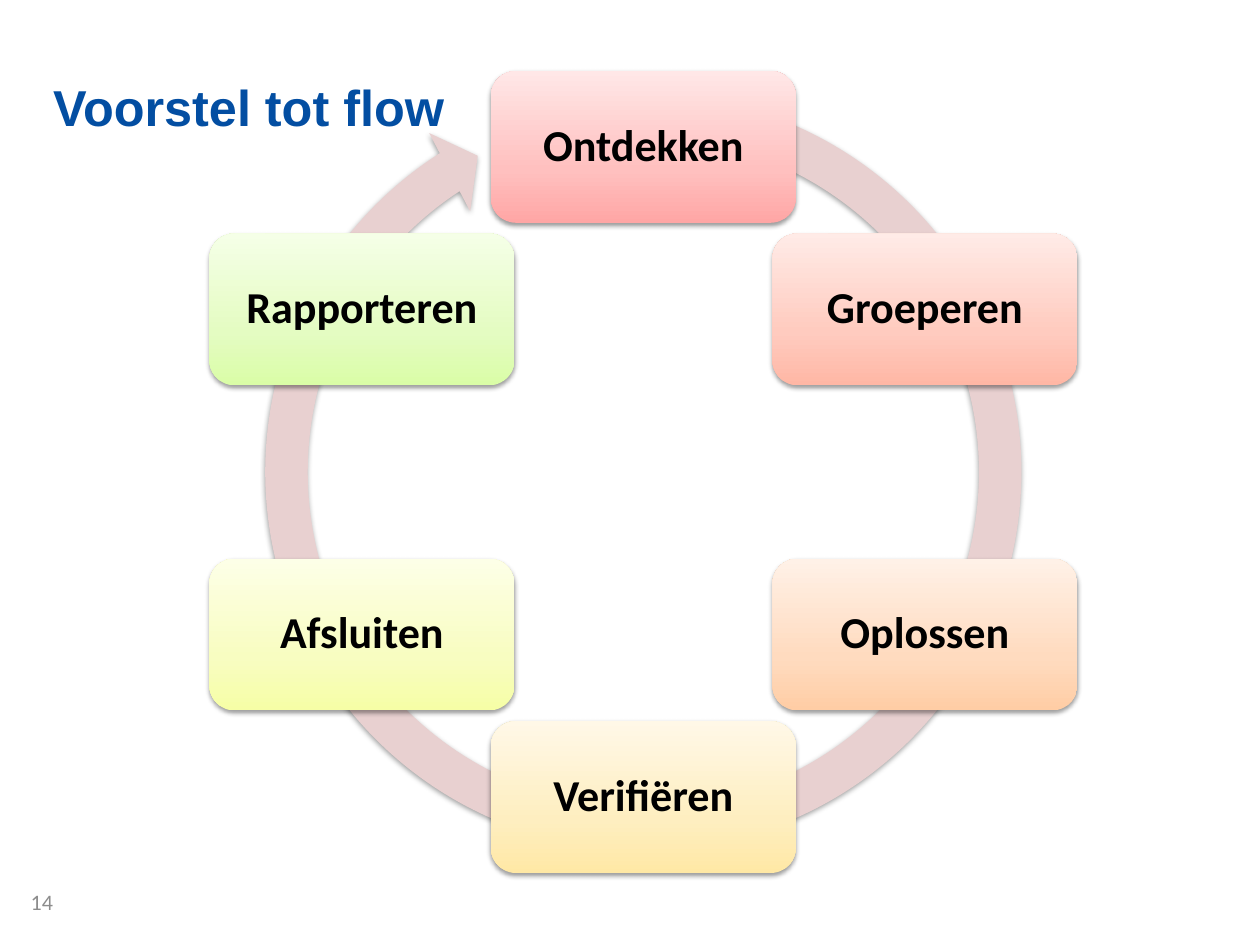
import math

import lxml.etree
import pptx
import pptx.dml.color
import pptx.enum.shapes
import pptx.enum.text
import pptx.oxml.ns
import pptx.util

Cm, Pt = pptx.util.Cm, pptx.util.Pt
Kind = pptx.enum.shapes.MSO_SHAPE
Align = pptx.enum.text.PP_ALIGN
Anchor = pptx.enum.text.MSO_ANCHOR
qn = pptx.oxml.ns.qn

# Ring geometry in cm
MID_X, MID_Y = 14.41, 10.57
RADIUS = 7.28
RING = 17.96
BOX_W, BOX_H = 6.83, 3.4

# Steps clockwise from the top: label, bottom, middle and top colour
STEPS = [
    ("Ontdekken", "FFA6A5", "FFC0BF", "FFE7E7"),
    ("Groeperen", "FFB7A5", "FFCBBF", "FFEBE7"),
    ("Oplossen", "FFCDA5", "FFDBBF", "FFF1E7"),
    ("Verifiëren", "FFE8A5", "FEEEC0", "FFF8E7"),
    ("Afsluiten", "F6FEA6", "F8FDC1", "FDFFE7"),
    ("Rapporteren", "DAFDA7", "E4FCC2", "F5FFE7"),
]


def color(code):
    return pptx.dml.color.RGBColor.from_string(code)


def add(parent, tag, **attrs):
    node = lxml.etree.SubElement(parent, qn(tag))
    for key, value in attrs.items():
        node.set(key, str(value))
    return node


class Page:
    head = "Arial"
    body = "Calibri"

    def __init__(self, slide):
        self.slide = slide

    def label(self, shape, text, size, font, code, bold=False,
              align=Align.LEFT, anchor=Anchor.TOP, inset=0):
        frame = shape.text_frame
        frame.word_wrap = True
        frame.auto_size = pptx.enum.text.MSO_AUTO_SIZE.NONE
        frame.vertical_anchor = anchor
        frame.margin_left = frame.margin_right = Cm(inset)
        frame.margin_top = frame.margin_bottom = Cm(inset)
        para = frame.paragraphs[0]
        para.alignment = align
        run = para.add_run()
        run.text = text
        run.font.name = font
        run.font.size = Pt(size)
        run.font.bold = bold
        run.font.color.rgb = color(code)
        return frame

    def title(self, text, x, y, w, h):
        shape = self.slide.shapes.title
        shape.left, shape.top, shape.width, shape.height = map(Cm, (x, y, w, h))
        frame = self.label(shape, text, 32, self.head, "034EA2", bold=True)
        frame.margin_top = Cm(0.13)

    def number(self, text, x, y, w, h):
        shape = self.slide.shapes.add_textbox(*map(Cm, (x, y, w, h)))
        self.label(shape, text, 14, self.body, "8C8C8C", align=Align.RIGHT)

    def shape(self, kind, x, y, w, h):
        """Add a borderless shape centred on x, y with a soft shadow."""
        shape = self.slide.shapes.add_shape(
            kind, Cm(x - w / 2), Cm(y - h / 2), Cm(w), Cm(h))
        shape.line.fill.background()
        shape.shadow.inherit = False
        effects = shape.element.spPr.find(qn("a:effectLst"))
        shadow = add(effects, "a:outerShdw", blurRad=Pt(3.1), dist=Pt(1.6),
                     dir=90 * 60000, rotWithShape=0)
        add(add(shadow, "a:srgbClr", val="000000"), "a:alpha", val=38000)
        return shape

    def ring(self, x, y, size, start, end):
        shape = self.shape(Kind.CIRCULAR_ARROW, x, y, size, size)
        shape.fill.solid()
        shape.fill.fore_color.rgb = color("E8D0D0")
        # Angles are in degrees, and an adjustment unit is 1/0.6 degree
        values = 5.3 / 100, 5.21 * 0.6, end * 0.6, start * 0.6, 5.5 / 100
        for i, value in enumerate(values):
            shape.adjustments[i] = value

    def step(self, text, x, y, codes):
        shape = self.shape(Kind.ROUNDED_RECTANGLE, x, y, BOX_W, BOX_H)
        shape.fill.gradient()
        shape.fill.gradient_angle = 90
        stops = shape.element.spPr.find(".//" + qn("a:gsLst"))
        for old in list(stops):
            stops.remove(old)
        for place, code in zip((0, 35, 100), codes):
            add(add(stops, "a:gs", pos=place * 1000), "a:srgbClr", val=code)
        frame = self.label(shape, text, 28, self.body, "000000", bold=True,
                           align=Align.CENTER, anchor=Anchor.MIDDLE, inset=0.48)
        frame.paragraphs[0].line_spacing = 0.9


def main():
    deck = pptx.Presentation()
    deck.slide_width, deck.slide_height = Cm(28.22), Cm(21.16)
    page = Page(deck.slides.add_slide(deck.slide_layouts[5]))

    # Title and slide number
    page.title("Voorstel tot flow", 1.19, 1.57, 25.83, 2.01)
    page.number("14", 0, 19.89, 1.19, 0.51)

    # Cycle: arrow behind, steps evenly spaced on a circle
    page.ring(MID_X, MID_Y, RING, start=285.45, end=237.14)
    for i, (name, *codes) in enumerate(STEPS):
        turn = math.tau * i / len(STEPS)
        page.step(name, MID_X + RADIUS * math.sin(turn),
                  MID_Y - RADIUS * math.cos(turn), codes)

    deck.save("out.pptx")


if __name__ == "__main__":
    main()
